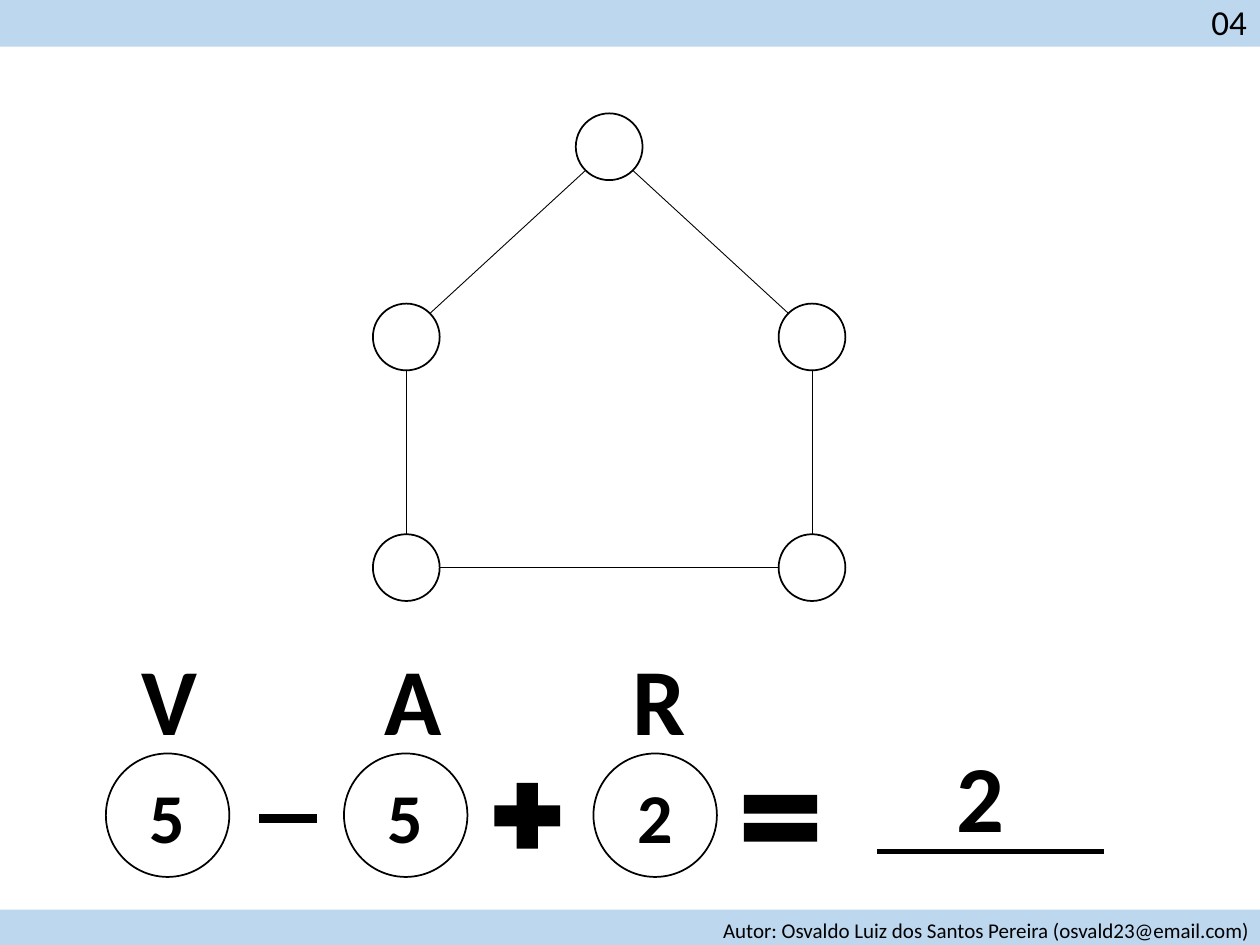
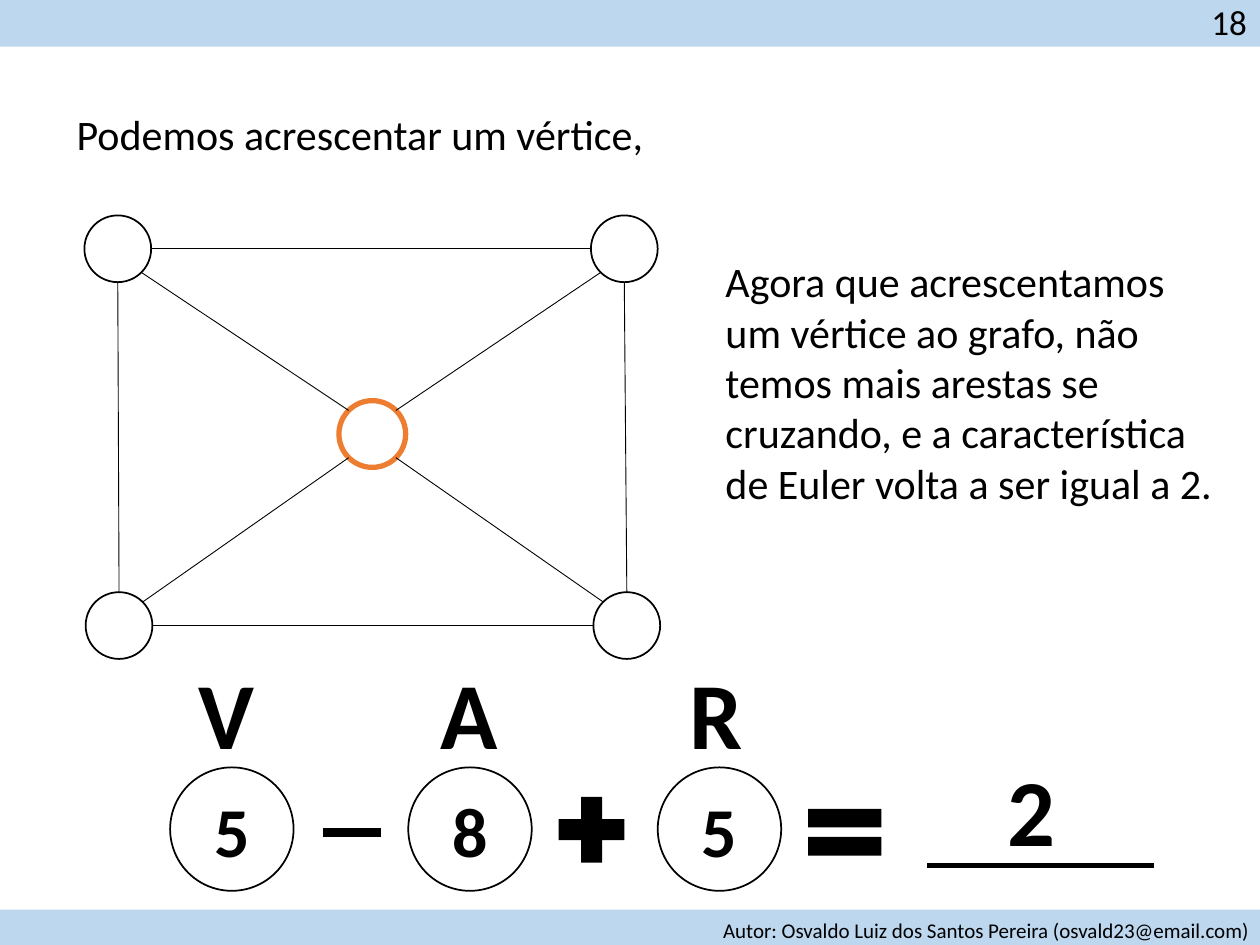
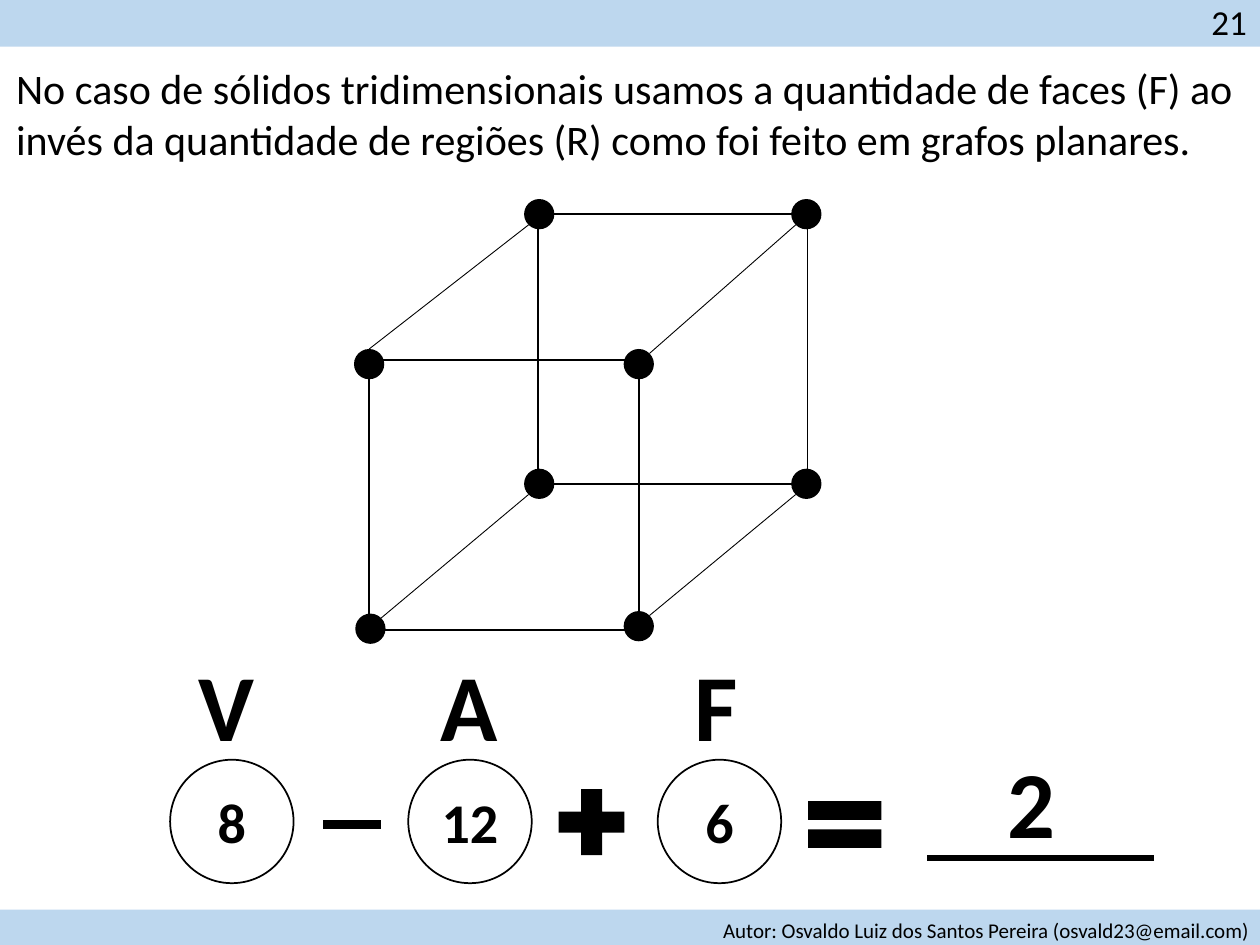
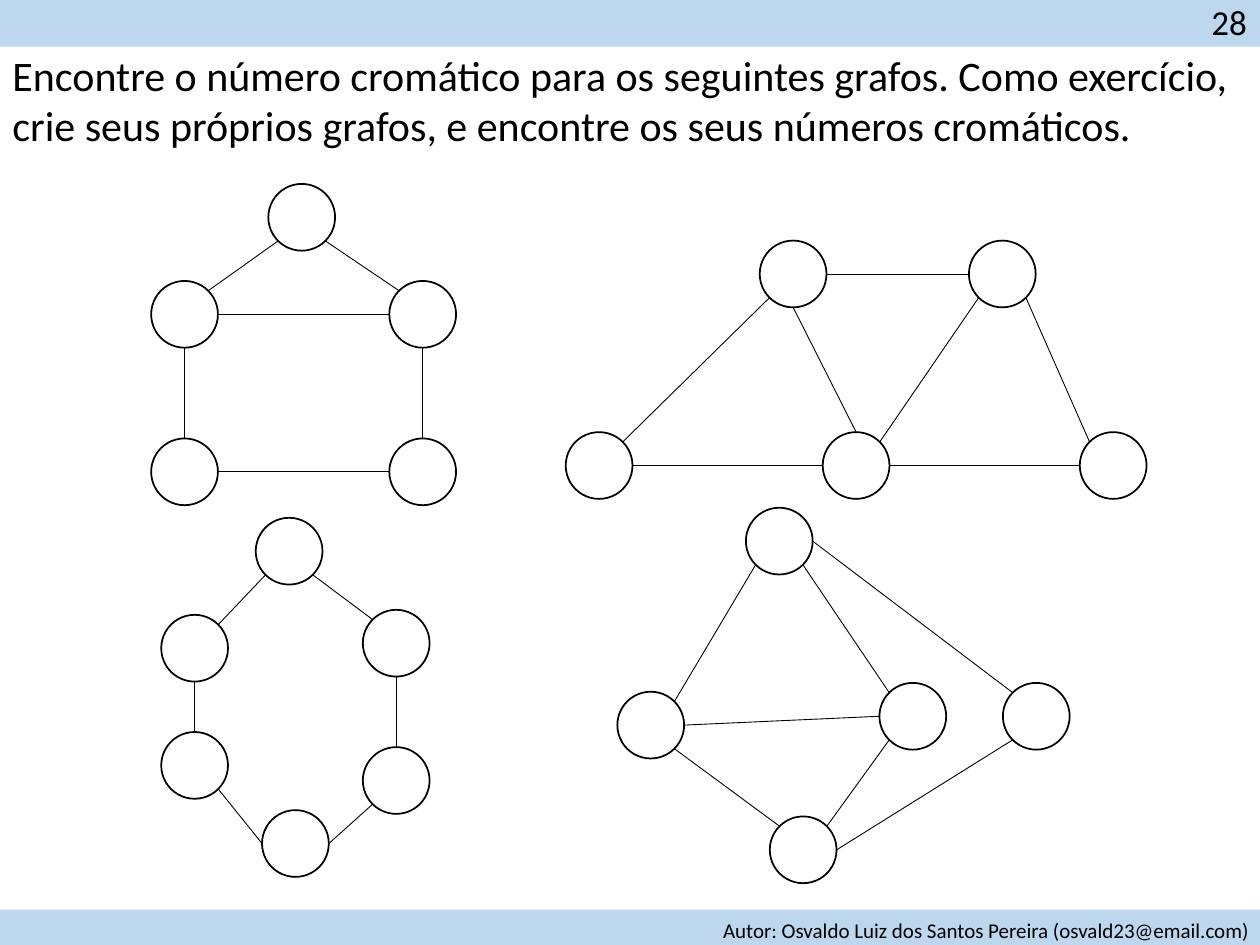
from lxml import etree
from pptx import Presentation
from pptx.dml.color import RGBColor
from pptx.enum.shapes import MSO_CONNECTOR, MSO_SHAPE
from pptx.enum.text import MSO_ANCHOR, MSO_AUTO_SIZE, PP_ALIGN
from pptx.oxml.ns import qn
from pptx.util import Inches, Pt

ELLIPSE = MSO_SHAPE.OVAL
RECTANGLE = MSO_SHAPE.RECTANGLE
MINUS = MSO_SHAPE.MATH_MINUS
PLUS = MSO_SHAPE.MATH_PLUS
EQUAL = MSO_SHAPE.MATH_EQUAL
STRAIGHT = MSO_CONNECTOR.STRAIGHT
MIDDLE = MSO_ANCHOR.MIDDLE
TOP = MSO_ANCHOR.TOP
CENTER = PP_ALIGN.CENTER
LEFT = PP_ALIGN.LEFT
GROW = MSO_AUTO_SIZE.SHAPE_TO_FIT_TEXT

COLORS = {"ink": "000000", "band": "BDD7EE", "accent": "ED7D31"}
FONT = "Calibri"
AUTHOR = "Autor: Osvaldo Luiz dos Santos Pereira (osvald23@email.com)"
NODE = 0.53
DOT = 0.24
DIAGONAL = 0.5 ** 0.5
COMPASS = {
    "n": (0, -1), "s": (0, 1), "w": (-1, 0), "e": (1, 0),
    "nw": (-DIAGONAL, -DIAGONAL), "ne": (DIAGONAL, -DIAGONAL),
    "sw": (-DIAGONAL, DIAGONAL), "se": (DIAGONAL, DIAGONAL),
}
HOUSE_EDGES = [
    "left ne roof sw", "right nw roof se", "floor_left n left s",
    "floor_right n right s", "floor_left e floor_right w",
]


def color(name):
    return RGBColor.from_string(COLORS[name])


class GraphDeck:
    def __init__(self):
        self.deck = Presentation()
        self.deck.slide_width = Inches(10)
        self.deck.slide_height = Inches(7.5)
        self.page = None

    def new_page(self):
        self.page = self.deck.slides.add_slide(self.deck.slide_layouts[6])

    def fill_frame(self, frame, words, size, bold=False, align=LEFT):
        para = frame.paragraphs[0]
        para.alignment = align
        span = para.add_run()
        span.text = words
        for name, value in {"name": FONT, "size": Pt(size), "bold": bold}.items():
            setattr(span.font, name, value)
        span.font.color.rgb = color("ink")

    def text(self, words, left, top, width, height, size=24, bold=False,
             align=LEFT, anchor=TOP):
        box = self.page.shapes.add_textbox(*map(Inches, (left, top, width, height)))
        frame = box.text_frame
        settings = {"word_wrap": True, "auto_size": GROW, "vertical_anchor": anchor}
        for name, value in settings.items():
            setattr(frame, name, value)
        self.fill_frame(frame, words, size, bold, align)

    def shape(self, kind, left, top, width, height, fill=None, line=None, weight=1):
        shape = self.page.shapes.add_shape(
            kind, *map(Inches, (left, top, width, height)))
        shape.shadow.inherit = False
        if fill:
            shape.fill.solid()
            shape.fill.fore_color.rgb = color(fill)
        else:
            shape.fill.background()
        if line:
            shape.line.color.rgb = color(line)
            shape.line.width = Pt(weight)
        else:
            shape.line.fill.background()
        return shape

    def line(self, start, end, weight=0.5):
        connector = self.page.shapes.add_connector(
            STRAIGHT, *map(Inches, (*start, *end)))
        connector.line.color.rgb = color("ink")
        connector.line.width = Pt(weight)
        etree.SubElement(connector._element.spPr, qn("a:effectLst"))

    def graph(self, nodes, edges, diameter=NODE, fill=None, marked=None):
        for name, (left, top) in nodes.items():
            outline = None if fill else "accent" if name == marked else "ink"
            self.shape(ELLIPSE, left, top, diameter, diameter, fill, outline,
                       3 if name == marked else 1)

        def site(name, direction):
            return [corner + diameter / 2 * (1 + step)
                    for corner, step in zip(nodes[name], COMPASS[direction])]

        for edge in edges:
            start, leaving, end, entering = edge.split()
            self.line(site(start, leaving), site(end, entering))

    def equation(self, terms, result, left, top, label_left, result_left, size=40):
        for (label, number), step, label_step in zip(
                terms, (0, 1.89, 3.87), (0, 1.93, 3.89)):
            circle = self.shape(ELLIPSE, left + step, top, 0.98, 0.98, line="ink")
            circle.text_frame.vertical_anchor = MIDDLE
            self.fill_frame(circle.text_frame, number, size, True, CENTER)
            self.symbol(label, label_left + label_step, top - 0.95)
        for kind, step, drop, width, height in (
                (MINUS, 1.13, 0.36, 0.63, 0.31),
                (PLUS, 2.99, 0.14, 0.71, 0.71),
                (EQUAL, 4.96, 0.2, 0.79, 0.63)):
            self.shape(kind, left + step, top + drop, width, height, fill="ink")
        baseline = top + 0.78
        self.line((result_left + 1.8, baseline), (result_left, baseline), 3)
        self.symbol(result, result_left + 0.39, top - 0.18)

    def symbol(self, words, left, top):
        self.text(words, left, top, 0.87, 1.01, 54, True, CENTER, MIDDLE)

    def bands(self, number):
        self.shape(RECTANGLE, 0, 7.22, 10, 0.28, fill="band")
        self.text(AUTHOR, 5.64, 7.23, 4.42, 0.3, 12)
        self.shape(RECTANGLE, 0, 0, 10, 0.37, fill="band")
        self.text(number, 9.51, -0.05, 0.49, 0.44, 20, align=CENTER, anchor=MIDDLE)


def pentagon_page(show):
    show.new_page()
    show.graph({
        "roof": (4.57, 0.9), "left": (2.96, 2.41), "right": (6.18, 2.41),
        "floor_left": (2.96, 4.24), "floor_right": (6.18, 4.24),
    }, HOUSE_EDGES)
    show.equation([("V", "5"), ("A", "5"), ("R", "2")], "2", 0.84, 5.98, 0.91, 6.96)
    show.bands("04")


def added_vertex_page(show):
    show.new_page()
    show.text("Podemos acrescentar um vértice,", 0.51, 0.81, 4.74, 0.5)
    show.graph({
        "top_left": (0.67, 1.71), "bottom_left": (0.68, 4.7),
        "bottom_right": (4.71, 4.7), "top_right": (4.69, 1.71),
        "middle": (2.69, 3.18),
    }, [
        "bottom_left n top_left s", "top_right w top_left e",
        "bottom_right w bottom_left e", "bottom_right n top_right s",
        "middle sw bottom_left ne", "middle nw top_left se",
        "bottom_right nw middle se", "top_right sw middle ne",
    ], marked="middle")
    show.equation([("V", "5"), ("A", "8"), ("R", "5")], "2", 1.35, 6.09, 1.36, 7.36)
    show.text("Agora que acrescentamos um vértice ao grafo, não temos mais arestas "
              "se cruzando, e a característica de Euler volta a ser igual a 2.",
              5.66, 1.98, 4.06, 2.12)
    show.bands("18")


def cube_page(show):
    show.new_page()
    for left, top in ((2.93, 2.86), (4.27, 1.7)):
        show.shape(RECTANGLE, left, top, 2.14, 2.14, line="ink")
    show.graph({
        "front_top_left": (2.81, 2.77), "front_top_right": (4.95, 2.77),
        "front_low_right": (4.95, 4.85), "front_low_left": (2.82, 4.87),
        "back_top_left": (4.16, 1.58), "back_top_right": (6.28, 1.58),
        "back_low_right": (6.28, 3.72), "back_low_left": (4.16, 3.72),
    }, [
        "front_top_left n back_top_left sw", "front_top_right ne back_top_right sw",
        "front_low_left ne back_low_left sw", "front_low_right ne back_low_right sw",
    ], DOT, "ink")
    show.equation([("V", "8"), ("A", "12"), ("F", "6")], "2",
                  1.35, 6.03, 1.36, 7.36, 32)
    show.text("No caso de sólidos tridimensionais usamos a quantidade de faces (F) ao "
              "invés da quantidade de regiões (R) como foi feito em grafos planares.",
              0.03, 0.45, 9.86, 0.91)
    show.bands("21")


def chromatic_page(show):
    show.new_page()
    show.graph({
        "top": (5.92, 4.03), "bottom": (6.11, 6.48), "left": (4.9, 5.49),
        "inner": (6.98, 5.42), "outer": (7.96, 5.42),
    }, [
        "left ne top sw", "inner nw top se", "left se bottom nw",
        "bottom ne inner sw", "inner w left e", "outer nw top e",
        "bottom e outer sw",
    ])
    show.graph({
        "roof": (2.13, 1.46), "left": (1.2, 2.23), "right": (3.09, 2.23),
        "floor_left": (1.2, 3.48), "floor_right": (3.09, 3.48),
    }, HOUSE_EDGES + ["left e right w"])
    show.graph({
        "top": (2.03, 4.11), "upper_left": (1.28, 4.88), "upper_right": (2.88, 4.84),
        "lower_left": (1.28, 5.81), "lower_right": (2.88, 5.93),
        "bottom": (2.08, 6.43),
    }, [
        "upper_left ne top sw", "upper_right nw top se",
        "lower_left n upper_left s", "lower_right n upper_right s",
        "lower_left se bottom w", "bottom e lower_right sw",
    ])
    show.text("Encontre o número cromático para os seguintes grafos. Como exercício, "
              "crie seus próprios grafos, e encontre os seus números cromáticos.",
              0, 0.34, 10.28, 0.91)
    show.graph({
        "top_left": (6.03, 1.91), "middle": (6.53, 3.43), "bottom_left": (4.49, 3.43),
        "top_right": (7.69, 1.91), "bottom_right": (8.57, 3.43),
    }, [
        "bottom_left ne top_left sw", "top_right w top_left e",
        "bottom_left e middle w", "middle ne top_right sw",
        "bottom_right nw top_right se", "middle n top_left s",
        "bottom_right w middle e",
    ])
    show.bands("28")


def main():
    show = GraphDeck()
    for build in (pentagon_page, added_vertex_page, cube_page, chromatic_page):
        build(show)
    show.deck.save("out.pptx")


if __name__ == "__main__":
    main()
